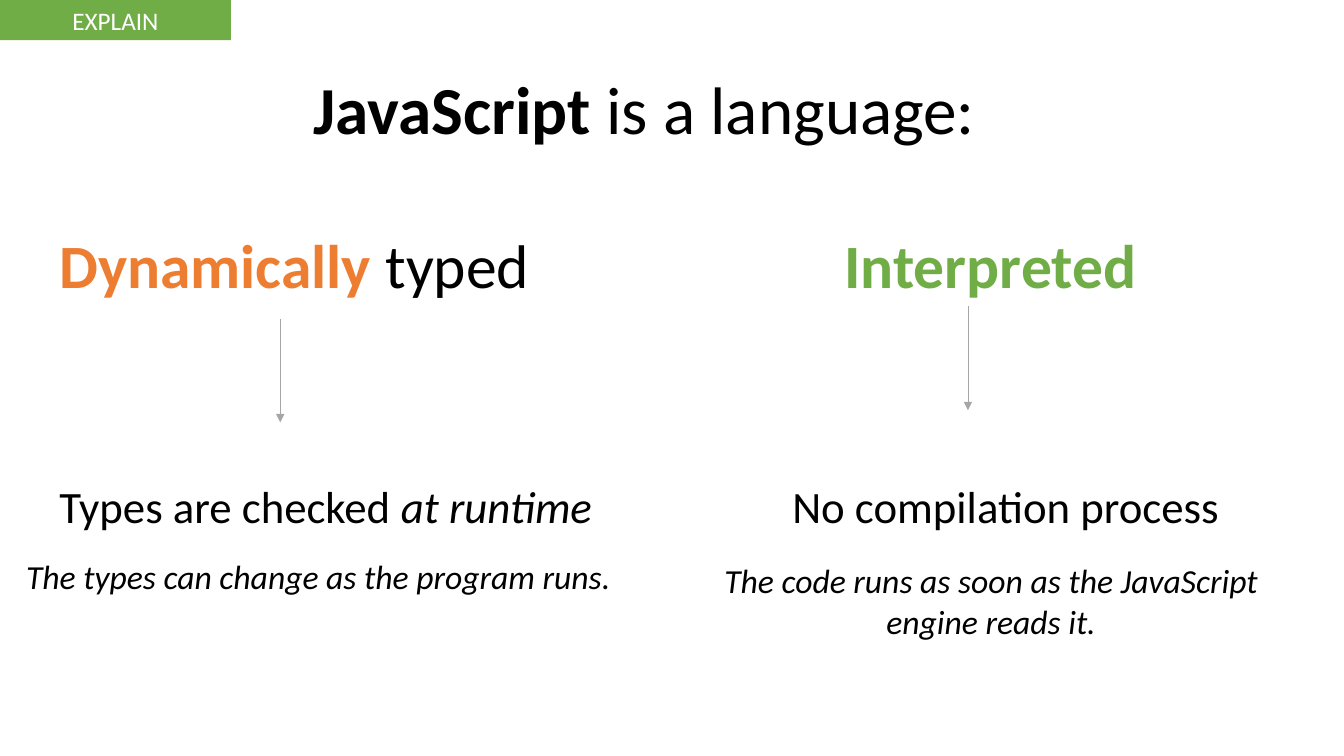
"""Build a slide on the two traits of the JavaScript language."""
from dataclasses import dataclass

import lxml.etree
import pptx
import pptx.dml.color
import pptx.enum.shapes
import pptx.enum.text
import pptx.oxml.ns
import pptx.util

PX = 9144
ARROW_LENGTH = 103
ALIGN = pptx.enum.text.PP_ALIGN


@dataclass(frozen=True)
class Theme:
    """Colours, font and type sizes of the slide."""
    font: str = "Calibri"
    text: str = "000000"
    light: str = "FFFFFF"
    orange: str = "ED7D31"
    green: str = "70AD47"
    line: str = "A6A6A6"
    title: int = 48
    heading: int = 44
    claim: int = 32
    note: int = 24
    tag: int = 18


THEME = Theme()


def rgb(color):
    """Return a colour object for a hex string."""
    return pptx.dml.color.RGBColor.from_string(color)


def emu(*lengths):
    """Turn lengths in px into EMU."""
    return [length * PX for length in lengths]


def write(shape, runs, size, color=THEME.text, align=ALIGN.LEFT, italic=False):
    """Fill a shape with one paragraph made of (text, run formats) pairs."""
    frame = shape.text_frame
    frame.word_wrap = True
    frame.auto_size = pptx.enum.text.MSO_AUTO_SIZE.SHAPE_TO_FIT_TEXT
    frame.vertical_anchor = pptx.enum.text.MSO_ANCHOR.TOP
    paragraph = frame.paragraphs[0]
    paragraph.alignment = align
    paragraph.font.name = THEME.font
    paragraph.font.size = pptx.util.Pt(size)
    paragraph.font.color.rgb = rgb(color)
    paragraph.font.italic = italic
    for text, formats in runs:
        run = paragraph.add_run()
        run.text = text
        for name, value in formats.items():
            if name == "color":
                run.font.color.rgb = rgb(value)
            else:
                setattr(run.font, name, value)


def add_text(slide, box, runs, size, **formats):
    """Add a text box at a box given in px."""
    write(slide.shapes.add_textbox(*emu(*box)), runs, size, **formats)


def add_arrow(slide, x, y):
    """Add a thin arrow pointing down from a point."""
    arrow = slide.shapes.add_connector(
        pptx.enum.shapes.MSO_CONNECTOR.STRAIGHT, *emu(x, y, x, y + ARROW_LENGTH))
    arrow.line.color.rgb = rgb(THEME.line)
    arrow.line.width = pptx.util.Pt(0.5)
    qn = pptx.oxml.ns.qn
    properties = arrow.line._get_or_add_ln()
    lxml.etree.SubElement(properties, qn("a:tailEnd"), type="triangle")
    lxml.etree.SubElement(properties.getparent(), qn("a:effectLst"))


def add_tag(slide, box, text):
    """Add the section tag in the corner."""
    tag = slide.shapes.add_shape(pptx.enum.shapes.MSO_SHAPE.RECTANGLE, *emu(*box))
    tag.shadow.inherit = False
    tag.fill.solid()
    tag.fill.fore_color.rgb = rgb(THEME.green)
    tag.line.fill.background()
    write(tag, [(text, {})], THEME.tag, color=THEME.light, align=ALIGN.CENTER)


def add_title(slide, box, runs):
    """Move and fill the title placeholder."""
    title = slide.shapes.title
    title.left, title.top, title.width, title.height = emu(*box)
    write(title, runs, THEME.title, align=ALIGN.CENTER)


def add_trait(slide, box, heading, claim, note, heading_width, arrow, note_offset, align):
    """Add a trait column: heading, arrow, claim and note."""
    left, top, width = box
    add_text(slide, (left, top, heading_width, 84), heading, THEME.heading, align=align)
    add_arrow(slide, left + arrow[0], top + arrow[1])
    add_text(slide, (left, top + 250, width, 64), claim, THEME.claim)
    add_text(slide, (left + note_offset[0], top + note_offset[1], 610, 50),
             [(note, {})], THEME.note, align=align, italic=True)


def main():
    """Build and save the presentation."""
    presentation = pptx.Presentation()
    presentation.slide_width, presentation.slide_height = emu(1333, 750)
    slide = presentation.slides.add_slide(presentation.slide_layouts.get_by_name("Title Only"))
    add_title(slide, (155, 62, 968, 91),
              [("JavaScript", {"bold": True}), (" is a language:", {})])
    add_tag(slide, (0, 0, 229, 40), "EXPLAIN")
    add_trait(
        slide, (49, 220, 610),
        heading=[("Dynamically", {"bold": True, "color": THEME.orange}), (" typed", {})],
        claim=[("Types are checked ", {}), ("at runtime", {"italic": True})],
        note="The types can change as the program runs.",
        heading_width=543, arrow=(229, 96), note_offset=(-33, 327), align=ALIGN.LEFT)
    add_trait(
        slide, (776, 220, 527),
        heading=[("Interpreted", {"bold": True, "color": THEME.green})],
        claim=[("No compilation process", {})],
        note="The code runs as soon as the JavaScript engine reads it.",
        heading_width=413, arrow=(184, 84), note_offset=(-98, 331), align=ALIGN.CENTER)
    presentation.save("out.pptx")


if __name__ == "__main__":
    main()
